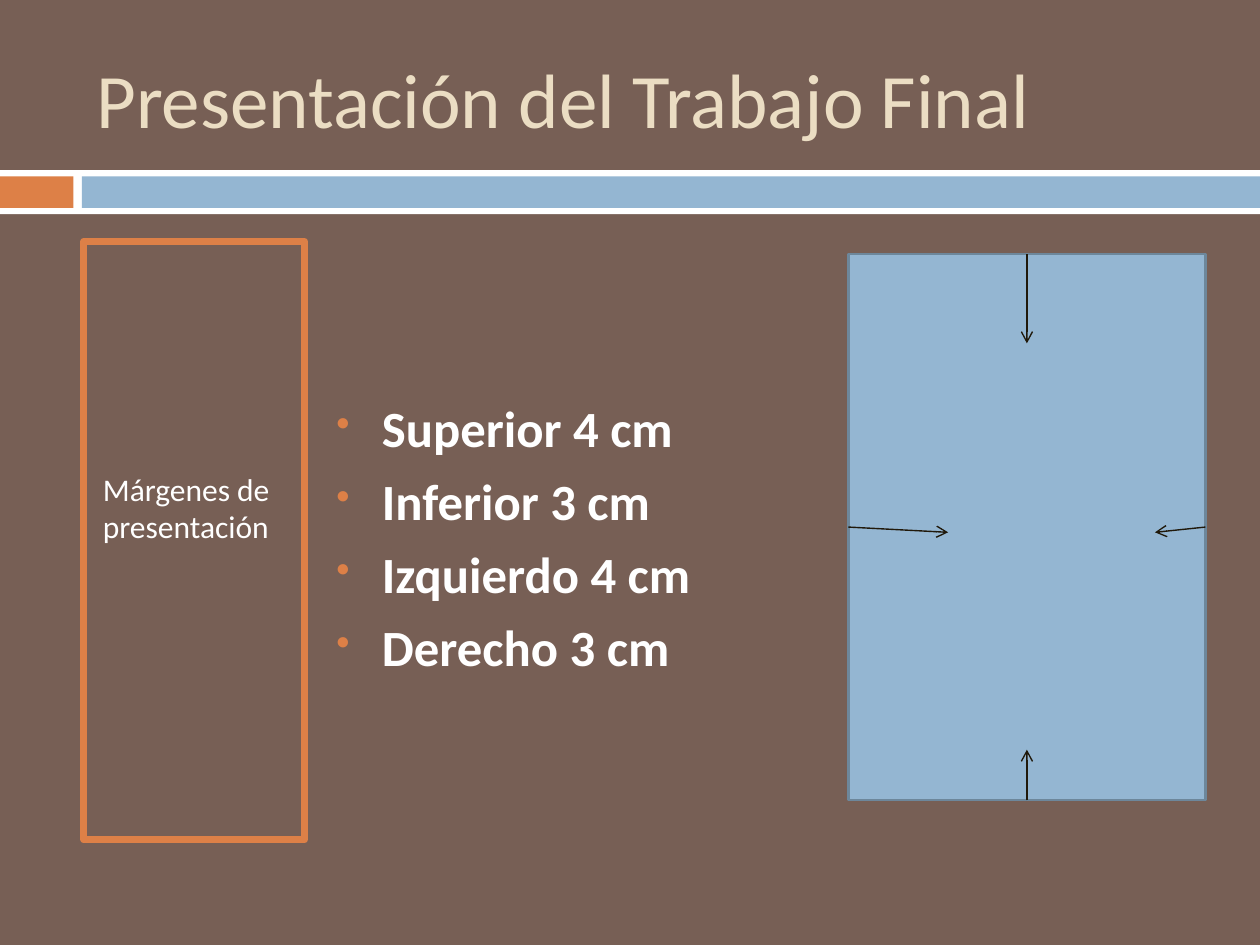
from dataclasses import dataclass

from lxml.etree import SubElement
from pptx import Presentation
from pptx.dml.color import RGBColor as Color
from pptx.enum.shapes import MSO_CONNECTOR as Connector, MSO_SHAPE as Shape
from pptx.enum.text import MSO_ANCHOR as Anchor, PP_ALIGN as Align
from pptx.oxml.ns import qn
from pptx.util import Inches, Pt


@dataclass(frozen=True)
class Theme:
    background: str = "775F55"
    accent: str = "DD8047"
    blue: str = "94B6D2"
    edge: str = "6D879B"
    arrow: str = "20190B"
    heading: str = "EBDDC3"
    white: str = "FFFFFF"
    font: str = "Calibri"
    title_size: int = 44
    body_size: int = 29
    label_size: int = 18


THEME = Theme()
COLUMNS, ROWS = 120, 90
CELL = Inches(10) // COLUMNS


def cells(*counts):
    return [round(count * CELL) for count in counts]


def set_values(target, values):
    for name, value in values.items():
        setattr(target, name, value)


def add_rectangle(slide, box, fill=None, line=None, width=0):
    shape = slide.shapes.add_shape(Shape.RECTANGLE, *cells(*box))
    shape.shadow.inherit = False
    if fill:
        shape.fill.solid()
        shape.fill.fore_color.rgb = Color.from_string(fill)
    else:
        shape.fill.background()
    if line:
        shape.line.color.rgb = Color.from_string(line)
        shape.line.width = Pt(width)
    else:
        shape.line.fill.background()
    return shape


def format_paragraph(paragraph, text, size, color, bold=False):
    paragraph.text = text
    paragraph.alignment = Align.LEFT
    set_values(paragraph.font, {"name": THEME.font, "size": Pt(size), "bold": bold})
    paragraph.font.color.rgb = Color.from_string(color)


def add_bullet(paragraph):
    properties = paragraph._p.get_or_add_pPr()
    indent = Inches(0.35)
    properties.set("marL", str(indent))
    properties.set("indent", str(-indent))
    color = SubElement(properties, qn("a:buClr"))
    SubElement(color, qn("a:srgbClr"), val=THEME.accent)
    SubElement(properties, qn("a:buSzPct"), val="60000")
    SubElement(properties, qn("a:buFont"), typeface="Wingdings 2")
    SubElement(properties, qn("a:buChar"), char="◻")


def add_title(slide, box, text):
    frame = slide.shapes.add_textbox(*cells(*box)).text_frame
    set_values(frame, {"word_wrap": True, "vertical_anchor": Anchor.MIDDLE})
    format_paragraph(frame.paragraphs[0], text, THEME.title_size, THEME.heading)


def add_band(slide, box):
    left, top, width, height = box
    inner_top, inner_height = top + 0.6, height - 1.2
    marker, gap = 7, 0.8
    add_rectangle(slide, box, THEME.white)
    add_rectangle(slide, (left, inner_top, marker, inner_height), THEME.accent)
    bar = (left + marker + gap, inner_top, width - marker - gap, inner_height)
    add_rectangle(slide, bar, THEME.blue)


def add_margin_list(slide, box, items):
    frame = slide.shapes.add_textbox(*cells(*box)).text_frame
    set_values(frame, {"word_wrap": True, "margin_top": Inches(1.23)})
    for index, item in enumerate(items):
        paragraph = frame.add_paragraph() if index else frame.paragraphs[0]
        add_bullet(paragraph)
        paragraph.space_before = Pt(7 if index else 0)
        format_paragraph(paragraph, item, THEME.body_size, THEME.white, True)


def add_label(slide, box, text):
    frame = add_rectangle(slide, box, line=THEME.accent, width=4).text_frame
    set_values(frame, {
        "word_wrap": True,
        "vertical_anchor": Anchor.TOP,
        "margin_left": Inches(0.15),
        "margin_right": Inches(0.15),
        "margin_top": Inches(1.81),
    })
    format_paragraph(frame.paragraphs[0], text, THEME.label_size, THEME.white)


def add_margin_line(slide, page, side, start, shift, arrow=True):
    end = [a + b for a, b in zip(start, shift)]
    line = slide.shapes.add_connector(Connector.STRAIGHT, *cells(*start, *end))
    line.begin_connect(page, side)
    line.line.color.rgb = Color.from_string(THEME.arrow)
    line.line.width = Pt(0.79)
    if arrow:
        SubElement(line.line._get_or_add_ln(), qn("a:tailEnd"), type="arrow")
    SubElement(line._element.spPr, qn("a:effectLst"))


def add_page_diagram(slide, box):
    left, top, width, height = box
    center, middle = left + width / 2, top + height / 2
    page = add_rectangle(slide, box, THEME.blue, THEME.edge, 1.5)
    sides = [(center, top), (left, middle), (center, top + height), (left + width, middle)]
    lines = [
        (1, (9.5, 0.5), True),
        (2, (0, -3.8), False),
        (3, (-4.8, 0.5), True),
        (2, (0, -4.8), True),
        (0, (0, 8.5), True),
    ]
    for side, shift, arrow in lines:
        add_margin_line(slide, page, side, sides[side], shift, arrow)


def main():
    presentation = Presentation()
    set_values(presentation, {"slide_width": CELL * COLUMNS, "slide_height": CELL * ROWS})
    slide = presentation.slides.add_slide(presentation.slide_layouts[6])
    slide.background.fill.solid()
    slide.background.fill.fore_color.rgb = Color.from_string(THEME.background)

    add_band(slide, (0, 16.2, COLUMNS, 4.2))
    add_title(slide, (8, 3.6, 106, 11.4), "Presentación del Trabajo Final")
    add_margin_list(slide, (31, 23, 84, 58), [
        "Superior 4 cm", "Inferior 3 cm", "Izquierdo 4 cm", "Derecho 3 cm",
    ])
    add_label(slide, (8, 23, 21, 57), "Márgenes de presentación")
    add_page_diagram(slide, (80.8, 24.2, 34, 52))
    presentation.save("out.pptx")


if __name__ == "__main__":
    main()
